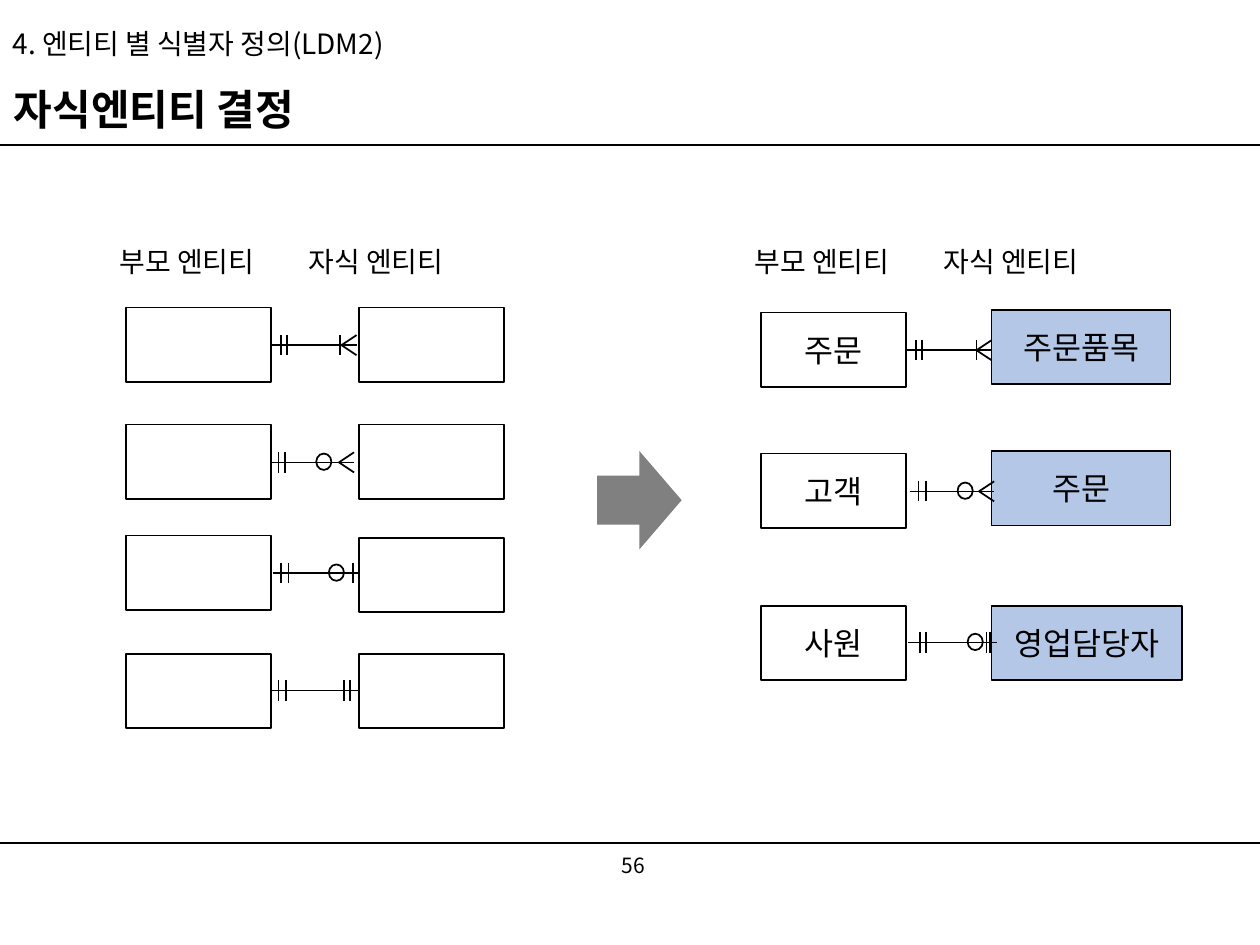
from pptx import Presentation
from pptx.dml.color import RGBColor
from pptx.enum.shapes import MSO_CONNECTOR as Conn, MSO_SHAPE as Kind
from pptx.enum.text import MSO_ANCHOR as Anchor, MSO_AUTO_SIZE as Auto, PP_ALIGN as Align
from pptx.oxml.ns import qn
from pptx.util import Inches, Pt
from lxml.etree import SubElement

COLS = 100
BOX_W, BOX_H = 11.5, 5.9
BLACK, WHITE, BLUE, GRAY = "000000", "FFFFFF", "B4C7E7", "808080"


def color(code):
    return RGBColor.from_string(code)


class Board:
    """Style and current slide; lengths are cells of a 100 by 75 grid."""
    face = "Noto Sans CJK KR"

    def __init__(self, deck):
        self.cell = deck.slide_width / COLS
        self.slide = deck.slides.add_slide(deck.slide_layouts[1])
        self.shapes = self.slide.shapes

    def emu(self, *cells):
        return [round(c * self.cell) for c in cells]

    def letter(self, frame, text, size, align=Align.LEFT, bold=False, lead=None):
        """Set and format the one paragraph of a frame."""
        frame.text = text
        frame.vertical_anchor = Anchor.MIDDLE
        para = frame.paragraphs[0]
        para.alignment = align
        para.space_before = Pt(0)
        if lead:
            para.line_spacing = lead
        for run in para.runs:
            font = run.font
            font.name, font.size, font.bold = self.face, Pt(size), bold
            font.color.rgb = color(BLACK)
            SubElement(font._element, qn("a:ea")).set("typeface", self.face)
        return para

    def holder(self, index, area, text, size, bold=False):
        item = self.slide.placeholders[index]
        item.left, item.top, item.width, item.height = self.emu(*area)
        frame = item.text_frame
        frame.auto_size = Auto.NONE
        para = self.letter(frame, text, size, bold=bold, lead=0.9)
        props = para._p.get_or_add_pPr()
        props.set("marL", "0")
        props.set("indent", "0")
        SubElement(props, qn("a:buNone"))

    def label(self, area, text, size, wrap=True, **style):
        frame = self.shapes.add_textbox(*self.emu(*area)).text_frame
        frame.word_wrap = wrap
        self.letter(frame, text, size, **style)

    def line(self, x1, y1, x2, y2, width=1):
        item = self.shapes.add_connector(Conn.STRAIGHT, *self.emu(x1, y1, x2, y2))
        self.stroke(item, width)
        SubElement(item._element.spPr, qn("a:effectLst"))

    def stroke(self, item, width=1):
        item.line.color.rgb = color(BLACK)
        item.line.width = Pt(width)

    def shape(self, kind, area, fill=None, edge=True, text=""):
        item = self.shapes.add_shape(kind, *self.emu(*area))
        item.shadow.inherit = False
        if fill:
            item.fill.solid()
            item.fill.fore_color.rgb = color(fill)
        else:
            item.fill.background()
        if edge:
            self.stroke(item)
        else:
            item.line.fill.background()
        if text:
            self.letter(item.text_frame, text, 18, align=Align.CENTER)

    def crow(self, x, y):
        """Crow's foot whose open end is at x."""
        pts = [self.emu(x + dx, y + dy) for dx, dy in ((0, 0.8), (-1.2, 0), (0, -0.8))]
        pen = self.shapes.build_freeform(*pts[0])
        pen.add_line_segments(pts[1:], close=False)
        item = pen.convert_to_shape()
        item.shadow.inherit = False
        item.fill.background()
        self.stroke(item)

    def link(self, x, y, width, bars, ring=None, crow=False):
        """Relation line; bars and ring are offsets from its left end."""
        self.line(x, y, x + width, y)
        for bar in bars:
            self.line(x + bar, y - 0.8, x + bar, y + 0.8)
        if crow:
            self.crow(x + width, y)
        if ring:
            self.shape(Kind.OVAL, (x + ring, y - 0.7, 1.2, 1.3))


def main():
    deck = Presentation()
    deck.slide_width, deck.slide_height = Inches(10), Inches(7.5)
    board = Board(deck)

    board.holder(0, (0, 1, 100.3, 5.2), "4. 엔티티 별 식별자 정의(LDM2)", 16)
    board.holder(1, (0.1, 6.3, 97.6, 5.2), "자식엔티티 결정", 24, bold=True)
    for y in (11.5, 66.9):
        board.line(0, y, 100.3, y, 0.75)
    board.label((39, 66.7, 22.5, 4), "56", 12, align=Align.CENTER)
    for x in (8.5, 58.9):
        board.label((x, 17.8, 34.2, 4.5), "부모 엔티티\t자식 엔티티", 16, wrap=False, lead=1.5)

    # Notation on the left
    board.link(21.6, 27.4, 6.7, (0.7, 1.2, 5.4), crow=True)
    board.link(21.4, 36.7, 6.7, (0.7, 1.2), ring=3.7, crow=True)
    board.link(21.7, 45.5, 7, (0.6, 1.2, 6.3), ring=4.4)
    board.link(21.5, 54.8, 7, (0.6, 1.2, 5.8, 6.3))
    for left, right in ((24.4, 24.4), (33.7, 33.7), (42.5, 42.7), (51.9, 51.9)):
        board.shape(Kind.RECTANGLE, (10, left, BOX_W, BOX_H), WHITE)
        board.shape(Kind.RECTANGLE, (28.5, right, BOX_W, BOX_H), WHITE)

    board.shape(Kind.RIGHT_ARROW, (47.4, 35.8, 6.7, 7.8), GRAY, edge=False)

    # Examples on the right
    pairs = (
        ("주문", 24.8, "주문품목", 24.6, 14.2),
        ("고객", 36, "주문", 35.8, 14.2),
        ("사원", 48.1, "영업담당자", 48.1, 15.1),
    )
    for parent, top, child, low, width in pairs:
        board.shape(Kind.RECTANGLE, (60.4, top, BOX_W, BOX_H), WHITE, text=parent)
        board.shape(Kind.RECTANGLE, (78.7, low, width, BOX_H), BLUE, text=child)
    board.link(72, 27.8, 6.7, (0.7, 1.2, 5.5), crow=True)
    board.link(72.2, 39, 6.7, (0.7, 1.3), ring=3.8, crow=True)
    board.link(72.1, 51, 7, (0.9, 1.4, 6.2, 6.5), ring=4.7)

    deck.save("out.pptx")


if __name__ == "__main__":
    main()
